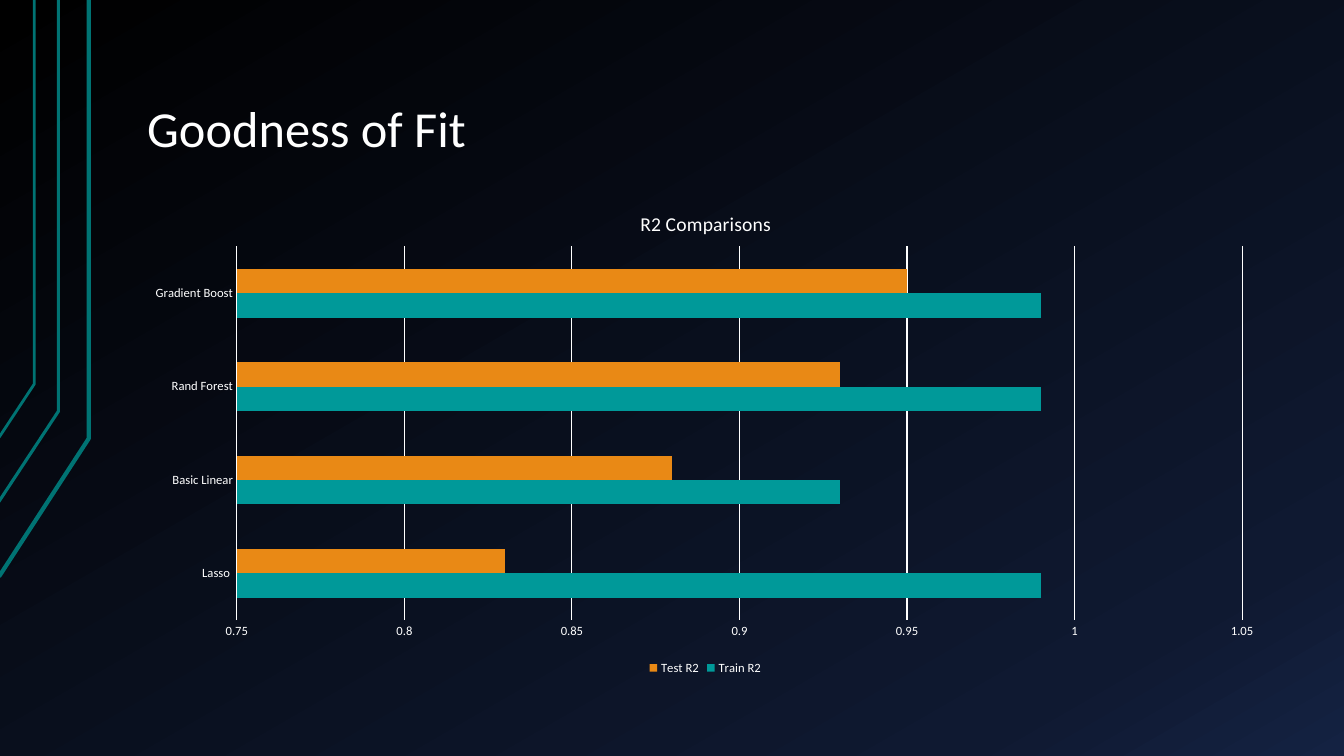
from copy import deepcopy

from lxml import etree
from pptx import Presentation
from pptx.chart.data import CategoryChartData
from pptx.dml.color import RGBColor
from pptx.enum.chart import XL_CHART_TYPE, XL_LEGEND_POSITION, XL_TICK_MARK
from pptx.enum.text import MSO_ANCHOR, PP_ALIGN
from pptx.oxml.ns import qn
from pptx.util import Inches, Pt

WHITE = RGBColor(0xFF, 0xFF, 0xFF)
BLACK = RGBColor(0x00, 0x00, 0x00)
NIGHT = RGBColor(0x0F, 0x19, 0x31)
NAVY = RGBColor(0x14, 0x22, 0x42)
DEEP_TEAL = RGBColor(0x00, 0x73, 0x73)
TEAL = RGBColor(0x00, 0x99, 0x99)
ORANGE = RGBColor(0xE9, 0x89, 0x15)

BACKDROP = [(0, BLACK), (0.85, NIGHT), (1, NAVY)]
BENT_LINES = [
    ([(-0.01, 5.72), (0.88, 4.35), (0.88, 0)], 3),
    ([(-0.02, 4.99), (0.58, 4.08), (0.58, 0)], 2.25),
    ([(-0.01, 4.34), (0.34, 3.81), (0.34, 0)], 2),
]
MODELS = ["Lasso ", "Basic Linear", "Rand Forest", "Gradient Boost"]
SCORES = [
    ("Train R2", [0.99, 0.93, 0.99, 0.99], TEAL),
    ("Test R2", [0.83, 0.88, 0.93, 0.95], ORANGE),
]


def format_font(font, size, color=WHITE, name="Calibri", bold=False):
    font.size = Pt(size)
    font.name = name
    font.bold = bold
    font.color.rgb = color


def write_text(frame, text, size, align=None, spacing=None, **style):
    paragraph = frame.paragraphs[0]
    paragraph.alignment = align
    paragraph.line_spacing = spacing
    run = paragraph.add_run()
    run.text = text
    format_font(run.font, size, **style)


def place_chart_part(part, index, **fractions):
    for old_layout in part.findall(qn("c:layout")):
        part.remove(old_layout)
    layout = etree.Element(qn("c:layout"))
    manual = etree.SubElement(layout, qn("c:manualLayout"))
    if "w" in fractions:
        etree.SubElement(manual, qn("c:layoutTarget")).set("val", "inner")
    for axis in ("x", "y"):
        etree.SubElement(manual, qn(f"c:{axis}Mode")).set("val", "edge")
    for key, value in fractions.items():
        etree.SubElement(manual, qn(f"c:{key}")).set("val", str(value))
    part.insert(index, layout)


class SlideBuilder:
    def __init__(self, presentation, line_color, label_size):
        self.slide = presentation.slides.add_slide(presentation.slide_layouts[5])
        self.line_color = line_color
        self.label_size = label_size

    def background(self, stops, angle):
        fill = self.slide.background.fill
        fill.gradient()
        fill.gradient_angle = angle
        stop_list = self.slide.element.find(".//" + qn("a:gsLst"))
        stop_list.append(deepcopy(stop_list[-1]))
        for stop, (position, color) in zip(fill.gradient_stops, stops):
            stop.position = position
            stop.color.rgb = color

    def bent_line(self, points, width):
        start, *rest = [(Inches(x), Inches(y)) for x, y in points]
        builder = self.slide.shapes.build_freeform(*start)
        builder.add_line_segments(rest, close=False)
        outline = builder.convert_to_shape()
        outline.shadow.inherit = False
        outline.fill.background()
        outline.line.color.rgb = self.line_color
        outline.line.width = Pt(width)

    def title(self, text, left, top, width, height):
        heading = self.slide.shapes.title
        heading.left, heading.top = Inches(left), Inches(top)
        heading.width, heading.height = Inches(width), Inches(height)
        frame = heading.text_frame
        frame.word_wrap = True
        frame.vertical_anchor = MSO_ANCHOR.BOTTOM
        frame.margin_left = frame.margin_right = Inches(0.13)
        frame.margin_top = frame.margin_bottom = Inches(0.07)
        write_text(frame, text, 36, align=PP_ALIGN.LEFT, spacing=0.9)

    def bar_chart(self, caption, categories, series, left, top, width, height):
        data = CategoryChartData()
        data.categories = categories
        for name, values, _ in series:
            data.add_series(name, values)
        chart = self.slide.shapes.add_chart(
            XL_CHART_TYPE.BAR_CLUSTERED, Inches(left), Inches(top),
            Inches(width), Inches(height), data).chart
        format_font(chart.font, 10)
        chart.has_title = True
        write_text(chart.chart_title.text_frame, caption, 14)
        chart.chart_title.include_in_layout = False
        chart.has_legend = True
        chart.legend.position = XL_LEGEND_POSITION.BOTTOM
        chart.legend.include_in_layout = False
        format_font(chart.legend.font, self.label_size)

        plot = chart.plots[0]
        plot.vary_by_categories = False
        plot.gap_width = 182
        plot.overlap = 0
        for bars, (_, _, color) in zip(plot.series, series):
            bars.format.fill.solid()
            bars.format.fill.fore_color.rgb = color
        self.chart_axes(chart)
        place_chart_part(chart.element.find(".//" + qn("c:title")), 1,
                         x=0.44, y=0.04)
        place_chart_part(chart.element.find(".//" + qn("c:plotArea")), 0,
                         x=0.09, y=0.12, w=0.88, h=0.76)

    def chart_axes(self, chart):
        models, scores = chart.category_axis, chart.value_axis
        for axis in (models, scores):
            axis.major_tick_mark = axis.minor_tick_mark = XL_TICK_MARK.NONE
            format_font(axis.tick_labels.font, self.label_size)
        scores.minimum_scale, scores.maximum_scale = 0.75, 1.05
        scores.major_unit = 0.05
        scores.tick_labels.number_format = "General"
        scores.tick_labels.number_format_is_linked = False
        scores.format.line.fill.background()
        scores.has_major_gridlines = True
        for line in (models.format.line, scores.major_gridlines.format.line):
            line.color.rgb = WHITE
            line.width = Pt(0.75)


def main():
    presentation = Presentation()
    presentation.slide_width = Inches(13.33)
    presentation.slide_height = Inches(7.5)
    builder = SlideBuilder(presentation, DEEP_TEAL, 9)
    builder.background(BACKDROP, 300)
    for points, width in BENT_LINES:
        builder.bent_line(points, width)
    builder.title("Goodness of Fit", 1.33, 0.3, 11.33, 1.34)
    builder.bar_chart("R2 Comparisons", MODELS, SCORES, 1.33, 1.86, 11.33, 4.88)
    presentation.save("out.pptx")


if __name__ == "__main__":
    main()
